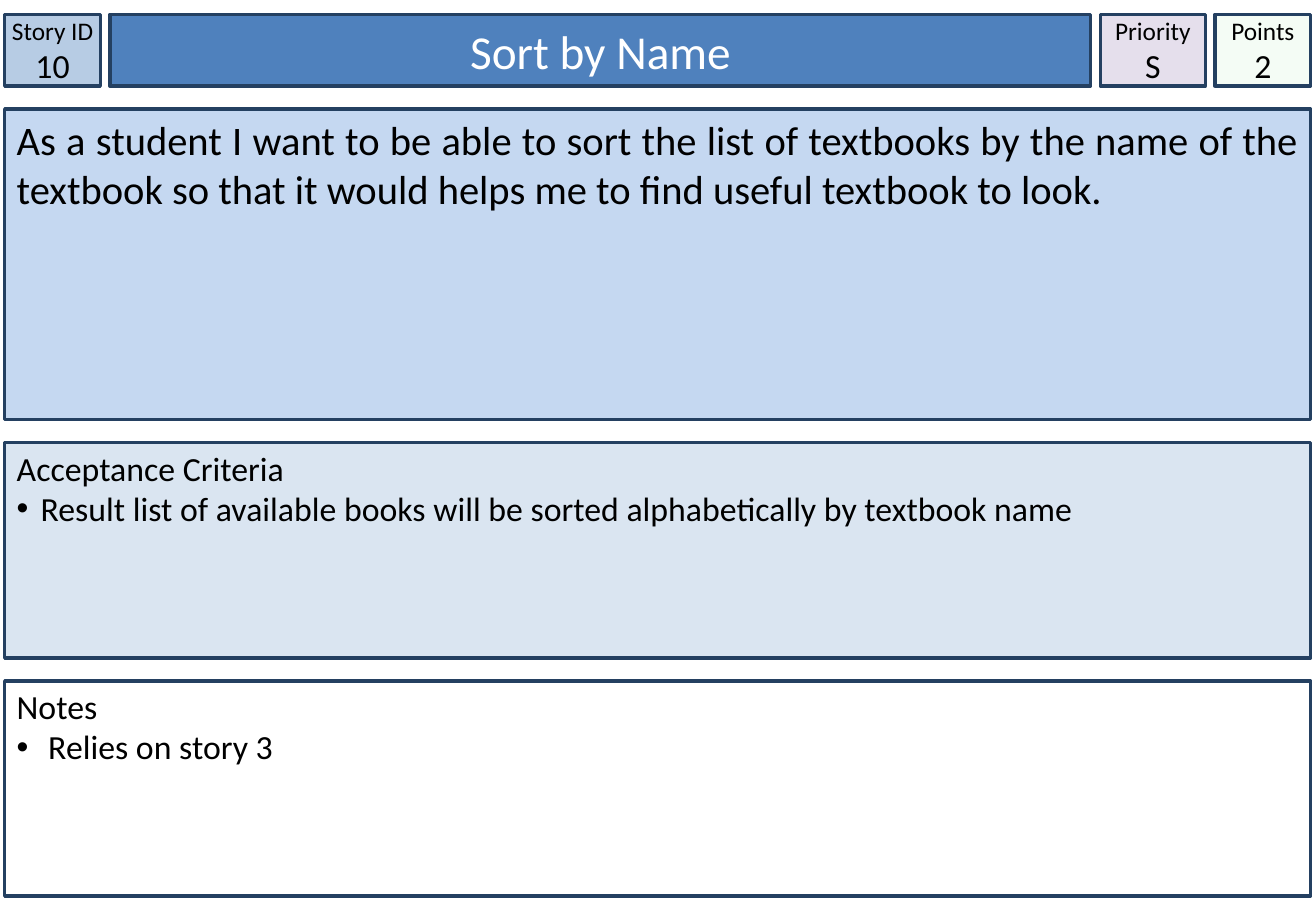
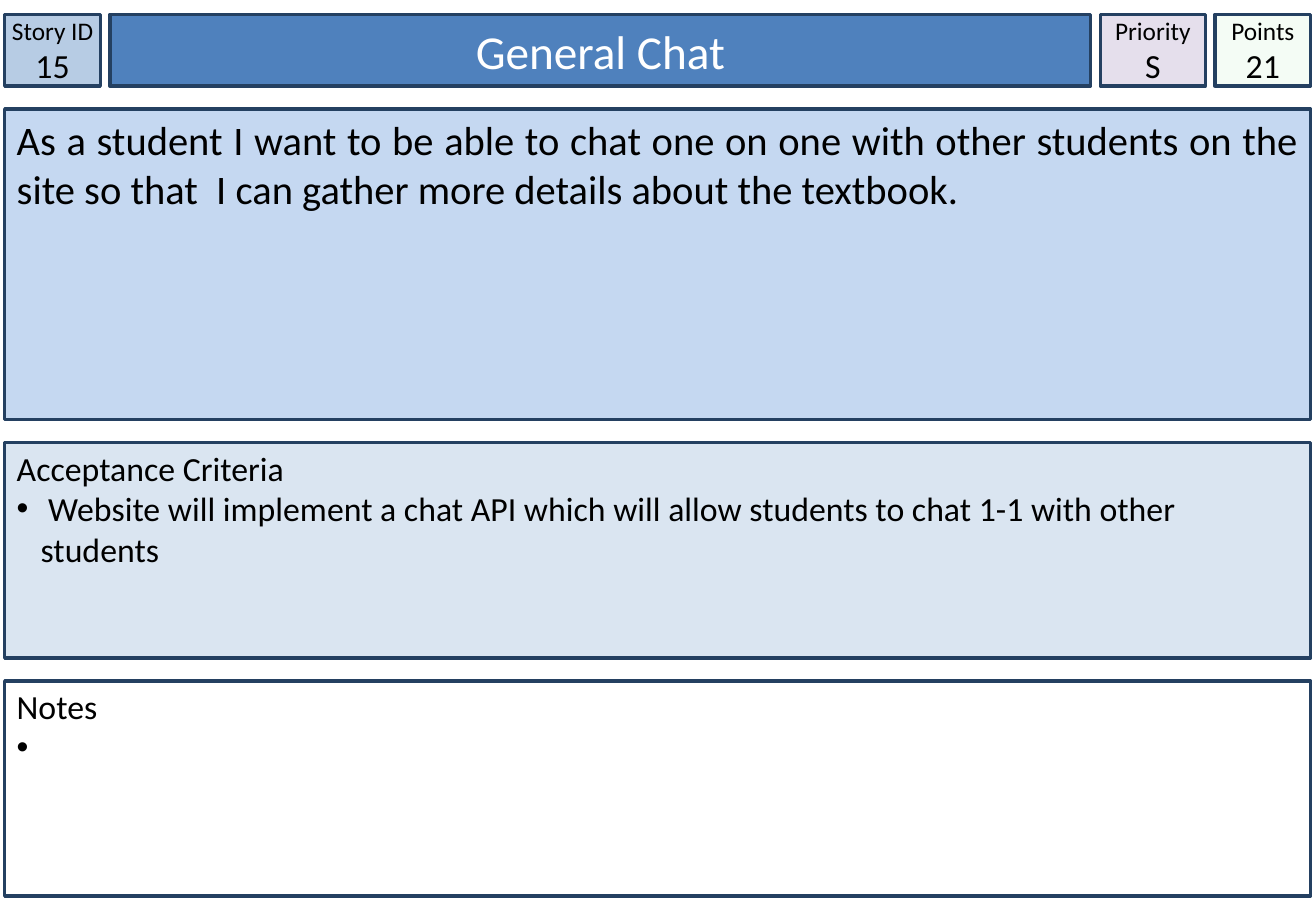
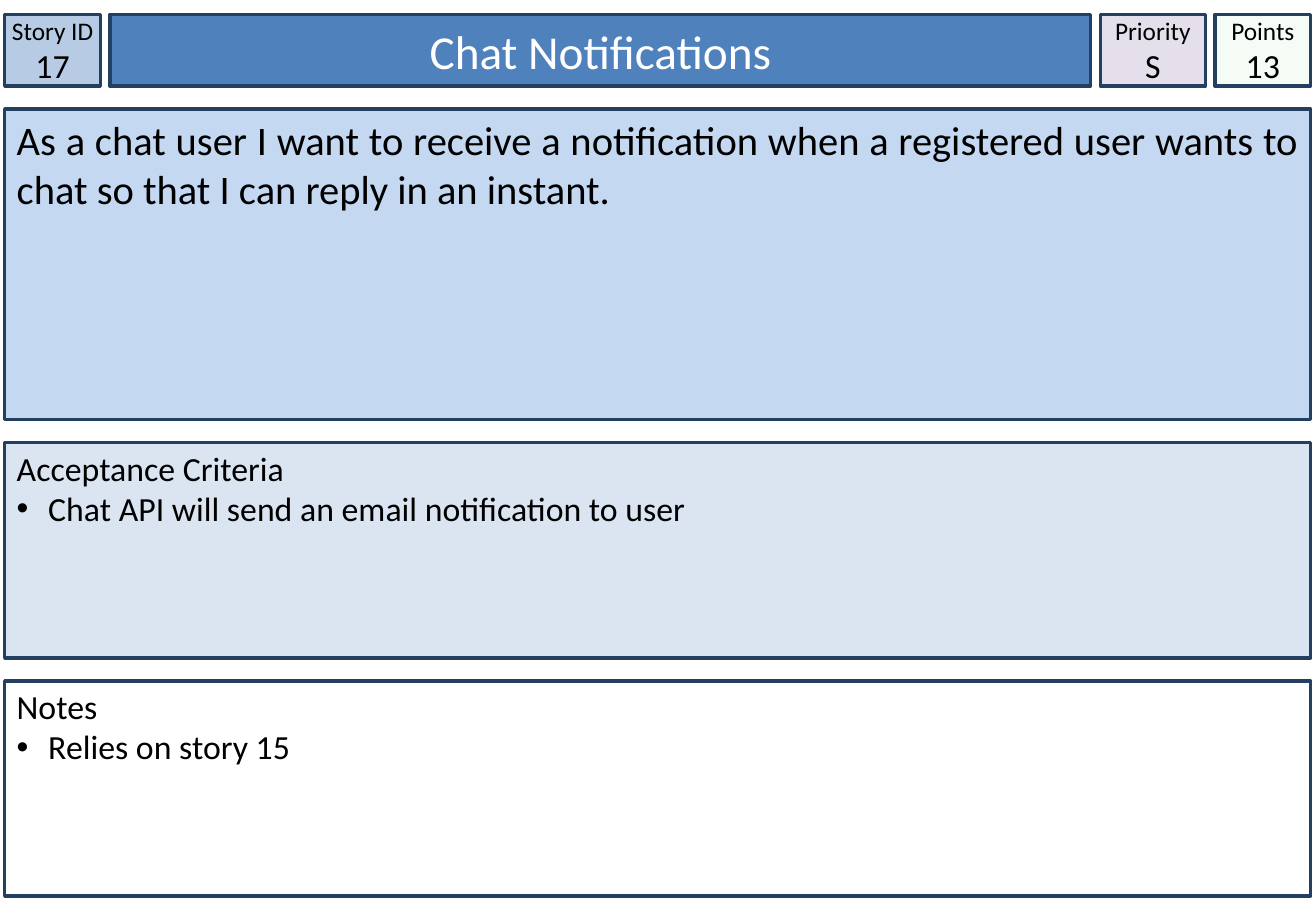
import pptx
import pptx.dml.color
import pptx.enum.shapes
import pptx.enum.text
import pptx.oxml.ns
import pptx.util
from lxml import etree
from pptx.util import Cm, Pt

STORIES = [
    {
        "id": "10", "title": "Sort by Name", "priority": "S", "points": "2",
        "story": "As a student I want to be able to sort the list of textbooks by the name "
                 "of the textbook so that it would helps me to find useful textbook to look.",
        "criteria": ["Result list of available books will be sorted alphabetically by textbook name"],
        "notes": [" Relies on story 3"],
    },
    {
        "id": "15", "title": "General Chat", "priority": "S", "points": "21",
        "story": "As a student I want to be able to chat one on one with other students on "
                 "the site so that  I can gather more details about the textbook.",
        "criteria": [" Website will implement a chat API which will allow students to chat "
                     "1-1 with other students"],
        "notes": [" "],
    },
    {
        "id": "17", "title": "Chat Notifications", "priority": "S", "points": "13",
        "story": "As a chat user I want to receive a notification when a registered user "
                 "wants to chat so that I can reply in an instant.",
        "criteria": [" Chat API will send an email notification to user"],
        "notes": [" Relies on story 15"],
    },
]

FONT = "Calibri"
BLACK, WHITE, NAVY = "000000", "FFFFFF", "244061"
TITLE_FILL, STORY_FILL, CRITERIA_FILL, NOTES_FILL = "4F81BD", "C5D8F1", "DAE5F1", WHITE
ID_FILL, PRIORITY_FILL, POINTS_FILL = "B7CCE4", "E5DFEC", "CCF0CD"
POINTS_OPACITY = 20

# Lengths in centimetres
SLIDE_WIDTH, SLIDE_HEIGHT = 27.51, 19.05
LEFT, HEADER_TOP, HEADER_HEIGHT, HEADER_GAP = 0.1, 0.3, 1.5, 0.2
ID_WIDTH, TITLE_WIDTH, PRIORITY_WIDTH, POINTS_WIDTH = 2, 20.5, 2.2, 2
PANEL_WIDTH, PANEL_GAP = 27.3, 0.48
STORY_HEIGHT, LIST_HEIGHT = 6.5, 4.5
BULLET_INDENT = 0.5

ALIGN = pptx.enum.text.PP_ALIGN
ANCHOR = pptx.enum.text.MSO_ANCHOR


def rgb(value):
    return pptx.dml.color.RGBColor.from_string(value)


def add_box(slide, left, top, width, height, fill, anchor, side_inset=0.25, top_inset=0.13):
    """Add an outlined rectangle and return it."""
    box = slide.shapes.add_shape(pptx.enum.shapes.MSO_SHAPE.RECTANGLE,
                                 Cm(left), Cm(top), Cm(width), Cm(height))
    box.shadow.inherit = False
    box.fill.solid()
    box.fill.fore_color.rgb = rgb(fill)
    box.line.color.rgb = rgb(NAVY)
    box.line.width = Pt(2)
    frame = box.text_frame
    frame.word_wrap = True
    frame.vertical_anchor = anchor
    frame.margin_left = frame.margin_right = Cm(side_inset)
    frame.margin_top, frame.margin_bottom = Cm(top_inset), Cm(0.13)
    return box


def set_opacity(box, percent):
    color = box.fill._xPr.find(".//" + pptx.oxml.ns.qn("a:srgbClr"))
    etree.SubElement(color, pptx.oxml.ns.qn("a:alpha"), val=str(percent * 1000))


def add_bullet(paragraph):
    properties = paragraph._p.get_or_add_pPr()
    indent = Cm(BULLET_INDENT)
    properties.set("marL", str(indent))
    properties.set("indent", str(-indent))
    qn = pptx.oxml.ns.qn
    bullet_color = etree.SubElement(properties, qn("a:buClr"))
    etree.SubElement(bullet_color, qn("a:srgbClr"), val=BLACK)
    etree.SubElement(properties, qn("a:buFont"), typeface="Arial")
    etree.SubElement(properties, qn("a:buChar"), char="•")


def write(box, lines, align, color=BLACK):
    """Fill a box with (text, size, bulleted) lines."""
    frame = box.text_frame
    for index, (text, size, bulleted) in enumerate(lines):
        paragraph = frame.add_paragraph() if index else frame.paragraphs[0]
        paragraph.alignment = align
        if bulleted:
            add_bullet(paragraph)
        run = paragraph.add_run()
        run.text = text
        run.font.name = FONT
        run.font.size = Pt(size)
        run.font.color.rgb = rgb(color)


def add_header(slide, story):
    cells = [
        ("Story ID", story["id"], ID_WIDTH, ID_FILL),
        (None, story["title"], TITLE_WIDTH, TITLE_FILL),
        ("Priority", story["priority"], PRIORITY_WIDTH, PRIORITY_FILL),
        ("Points", story["points"], POINTS_WIDTH, POINTS_FILL),
    ]
    left = LEFT
    for label, value, width, fill in cells:
        box = add_box(slide, left, HEADER_TOP, width, HEADER_HEIGHT, fill, ANCHOR.MIDDLE,
                      side_inset=0 if label else 0.25)
        if label:
            write(box, [(label, 15, False), (value, 20, False)], ALIGN.CENTER)
        else:
            write(box, [(value, 28, False)], ALIGN.CENTER, WHITE)
        if fill == POINTS_FILL:
            set_opacity(box, POINTS_OPACITY)
        left += width + HEADER_GAP


def add_panels(slide, story):
    def titled_list(heading, items):
        return [(heading, 20, False)] + [(item, 20, True) for item in items]

    panels = [
        ([(story["story"], 24, False)], STORY_HEIGHT, STORY_FILL, ALIGN.JUSTIFY, 0.13),
        (titled_list("Acceptance Criteria", story["criteria"]),
         LIST_HEIGHT, CRITERIA_FILL, ALIGN.LEFT, 0.1),
        (titled_list("Notes", story["notes"]), LIST_HEIGHT, NOTES_FILL, ALIGN.LEFT, 0.1),
    ]
    top = HEADER_TOP + HEADER_HEIGHT + PANEL_GAP
    for lines, height, fill, align, top_inset in panels:
        box = add_box(slide, LEFT, top, PANEL_WIDTH, height, fill, ANCHOR.TOP,
                      top_inset=top_inset)
        write(box, lines, align)
        top += height + PANEL_GAP


def main():
    deck = pptx.Presentation()
    deck.slide_width, deck.slide_height = Cm(SLIDE_WIDTH), Cm(SLIDE_HEIGHT)
    for story in STORIES:
        slide = deck.slides.add_slide(deck.slide_layouts[6])
        add_header(slide, story)
        add_panels(slide, story)
    deck.save("out.pptx")


if __name__ == "__main__":
    main()
